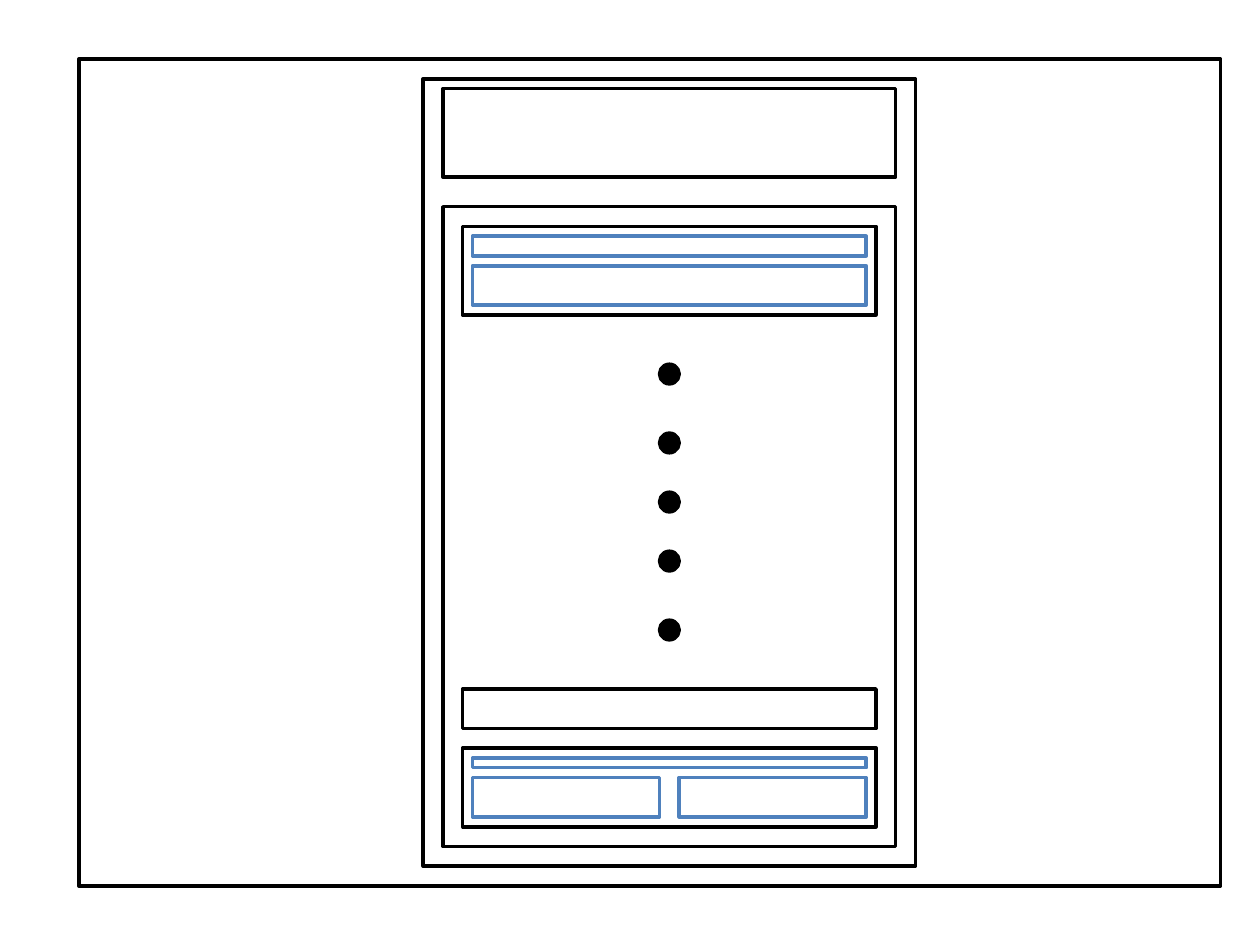
from dataclasses import dataclass

from pptx import Presentation
from pptx.dml.color import RGBColor as RGB
from pptx.enum.shapes import MSO_SHAPE as SHAPE
from pptx.util import Cm, Pt

WIDTH, HEIGHT = 25.4, 19.05
COLUMNS = 128  # grid steps across the slide


@dataclass(frozen=True)
class Theme:
    """Colours and line width of the wireframe."""
    paper: RGB = RGB(0xFF, 0xFF, 0xFF)
    ink: RGB = RGB(0x00, 0x00, 0x00)
    accent: RGB = RGB(0x4F, 0x81, 0xBD)
    line: Pt = Pt(2)


@dataclass(frozen=True)
class Box:
    """A rectangle measured in grid steps."""
    x: int
    y: int
    w: int
    h: int

    def inner(self, dx, dy, w, h):
        """Return a box offset from this one's top left corner."""
        return Box(self.x + dx, self.y + dy, w, h)


THEME = Theme()


def grid(steps):
    """Turn grid steps into a length."""
    return Cm(steps * WIDTH / COLUMNS)


def draw(s, box, line=THEME.ink, fill=THEME.paper, kind=SHAPE.RECTANGLE):
    """Draw one outlined shape and return its box."""
    sp = s.shapes.add_shape(kind, grid(box.x), grid(box.y), grid(box.w), grid(box.h))
    sp.shadow.inherit = False
    sp.fill.solid()
    sp.fill.fore_color.rgb = fill
    sp.line.color.rgb = line
    sp.line.width = THEME.line
    return box


def draw_card(s, box, fields):
    """Draw a card with accent-coloured fields inside it."""
    draw(s, box)
    for field in fields:
        draw(s, box.inner(*field), line=THEME.accent)


def draw_dots(s, box, offsets, size=2):
    """Draw a centred column of dots at the given vertical offsets."""
    for dy in offsets:
        dot = box.inner((box.w - size) // 2, dy, size, size)
        draw(s, dot, fill=THEME.ink, kind=SHAPE.OVAL)


def draw_body(s, box):
    """Draw the body: first card, dots, bar and last card."""
    draw(s, box)
    margin = 2
    w = box.w - 2 * margin
    field_w, gap = w - 2, 2
    half = (field_w - gap) // 2
    draw_card(s, box.inner(margin, 2, w, 9),
              [(1, 1, field_w, 2), (1, 4, field_w, 4)])
    draw_dots(s, box, (16, 23, 29, 35, 42))
    draw(s, box.inner(margin, 49, w, 4))
    draw_card(s, box.inner(margin, 55, w, 8),
              [(1, 1, field_w, 1), (1, 3, half, 4), (1 + half + gap, 3, half, 4)])


def draw_page(s, box):
    """Draw the page column with its header and body."""
    draw(s, box)
    w = box.w - 4
    draw(s, box.inner(2, 1, w, 9))
    draw_body(s, box.inner(2, 13, w, 65))


def main():
    """Build the wireframe slide."""
    prs = Presentation()
    prs.slide_width, prs.slide_height = Cm(WIDTH), Cm(HEIGHT)
    s = prs.slides.add_slide(prs.slide_layouts[6])
    window = draw(s, Box(8, 6, 116, 84))
    draw_page(s, window.inner(35, 2, 50, 80))
    prs.save("out.pptx")


main()
